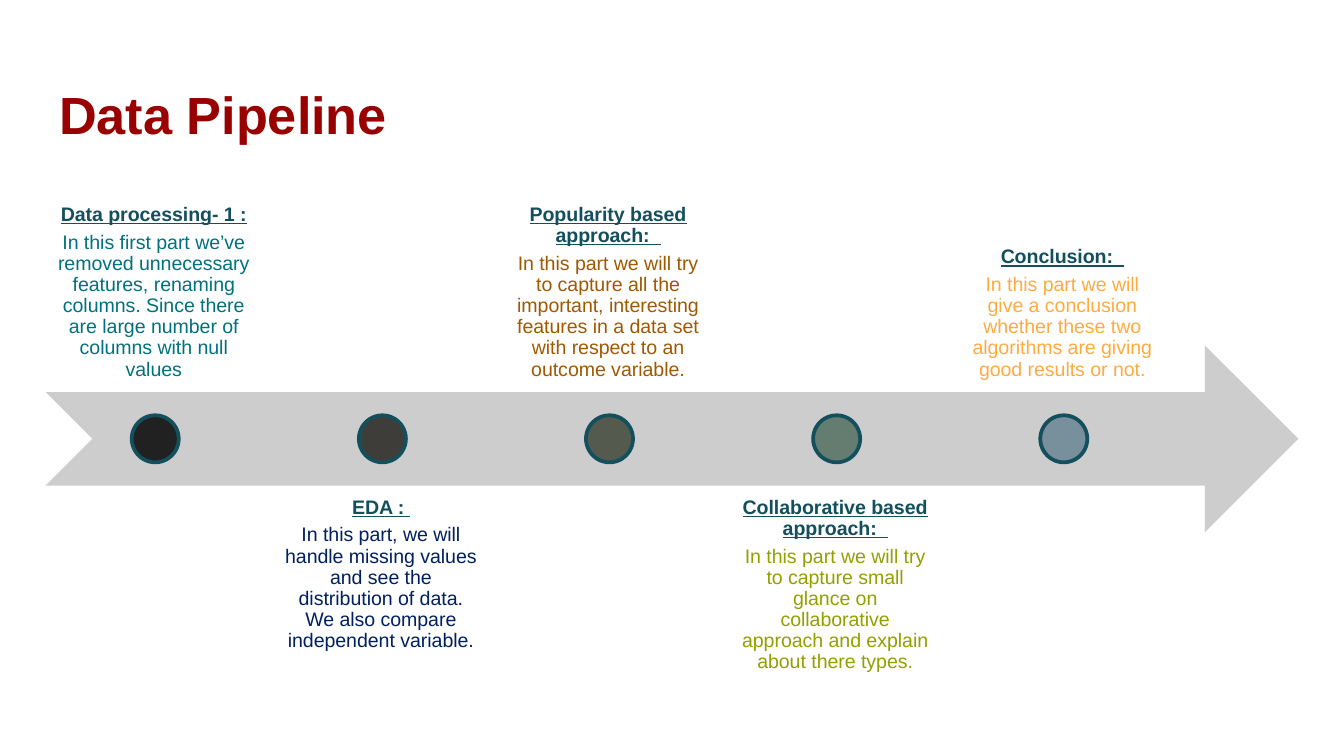
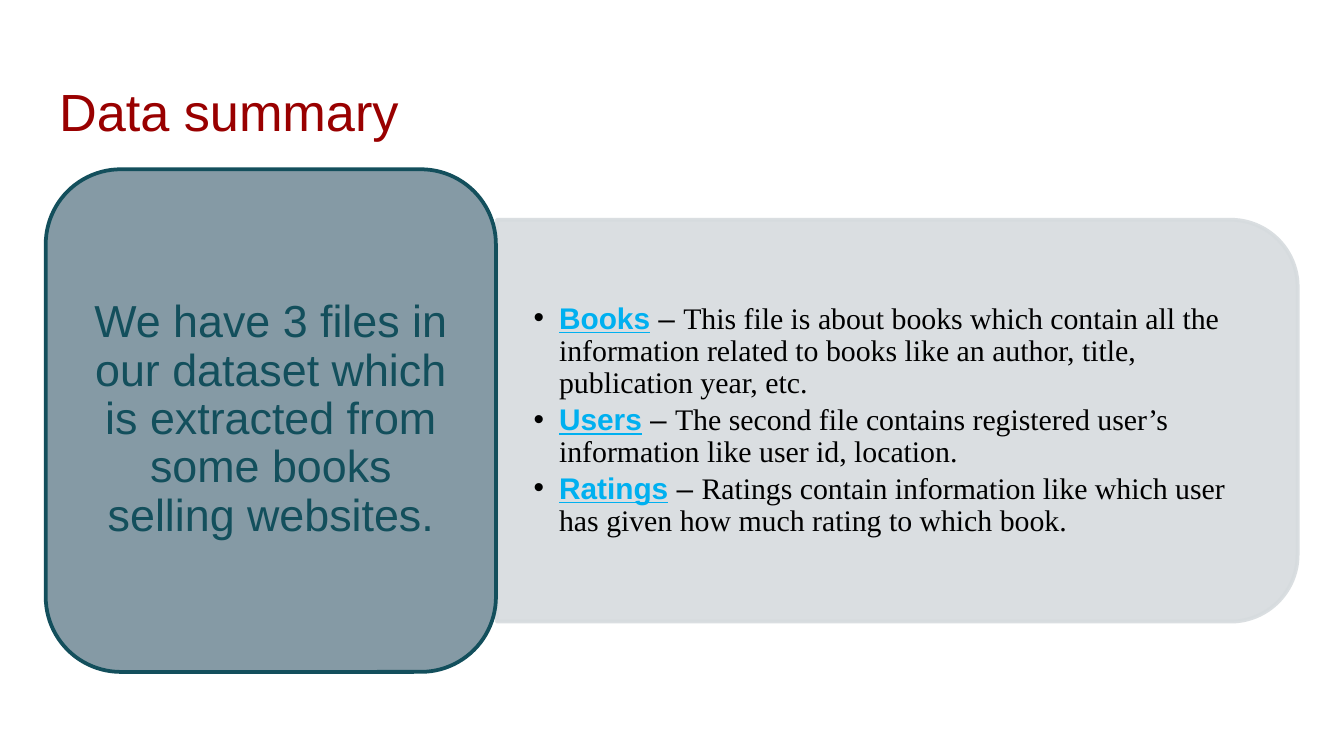
from pptx import Presentation
from pptx.dml.color import RGBColor
from pptx.enum.shapes import MSO_SHAPE as Shape
from pptx.enum.text import MSO_ANCHOR as Anchor, MSO_AUTO_SIZE as Fit, PP_ALIGN as Align
from pptx.oxml.ns import qn
from pptx.util import Inches, Pt
from lxml.etree import SubElement as Sub

# Shared style
COLORS = {
    "title": "990000", "teal": "134F5C", "arrow": "CDCDCD", "panel": "D6DBDE",
    "card": "78909C", "key": "00B0F0", "ink": "000000",
}
FONT, SERIF = "Arial", "Times New Roman"
LEFT, WIDE = 0.34, 9.32

# Steps: heading, text, text colour, dot colour
STEPS = [
    ("Data processing- 1 :",
     "In this first part we’ve removed unnecessary features, renaming columns. "
     "Since there are large number of columns with null values",
     "00717D", "212121"),
    ("EDA : ",
     "In this part, we will handle missing values and see the distribution of data. "
     "We also compare independent variable.",
     "002060", "3E3D39"),
    ("Popularity based approach:  ",
     "In this part we will try to capture all the important, interesting features "
     "in a data set with respect to an outcome variable.",
     "A05900", "545B4E"),
    ("Collaborative based approach:  ",
     "In this part we will try to capture small glance on collaborative approach "
     "and explain about there types.",
     "92A000", "647D70"),
    ("Conclusion:  ",
     "In this part we will give a conclusion whether these two algorithms are "
     "giving good results or not.",
     "FFAB40", "78909C"),
]
FILES = [
    ("Books", "This file is about books which contain all the information related to "
              "books like an author, title, publication year, etc."),
    ("Users", "The second file contains registered user’s information like user id, location."),
    ("Ratings", "Ratings contain information like which user has given how much rating "
                "to which book."),
]


def rgb(color):
    return RGBColor.from_string(COLORS.get(color, color))


def style(font, size, color, bold=False, line=False, name=FONT):
    font.name, font.size = name, Pt(size)
    font.bold, font.underline = bold, line
    font.color.rgb = rgb(color)


def place(shape, x, y, w, h):
    shape.left, shape.top = Inches(x), Inches(y)
    shape.width, shape.height = Inches(w), Inches(h)


def set_frame(frame, anchor, side, ends):
    frame.word_wrap, frame.auto_size = True, Fit.NONE
    frame.vertical_anchor = anchor
    frame.margin_left = frame.margin_right = Inches(side)
    frame.margin_top = frame.margin_bottom = Inches(ends)


def add_para(frame, first, align, after):
    para = frame.paragraphs[0] if first else frame.add_paragraph()
    para.alignment, para.line_spacing = align, 0.9
    para.space_before, para.space_after = Pt(0), Pt(after)
    return para


def add_title(slide, text, y, bold):
    title = slide.shapes.title
    place(title, LEFT, y, WIDE, 0.63)
    set_frame(title.text_frame, Anchor.TOP, 0.1, 0.1)
    title.text_frame.text = text
    para = title.text_frame.paragraphs[0]
    para.alignment = Align.LEFT
    style(para.font, 28, "title", bold)


def add_shape(slide, kind, x, y, w, h, fill, line=None):
    shape = slide.shapes.add_shape(kind, Inches(x), Inches(y), Inches(w), Inches(h))
    shape.shadow.inherit = False
    shape.fill.solid()
    shape.fill.fore_color.rgb = rgb(fill)
    if line:
        shape.line.color.rgb = rgb(line)
        shape.line.width = Pt(2)
    else:
        shape.line.fill.background()
    return shape


def fade(part, alpha):
    """Set the opacity, in percent, of the solid fill directly under an XML part."""
    color = part.find(qn("a:solidFill"))[0]
    Sub(color, qn("a:alpha"), val=str(alpha * 1000))


def add_box(slide, x, y, w, h, anchor, side, ends):
    box = slide.shapes.add_textbox(Inches(x), Inches(y), Inches(w), Inches(h))
    set_frame(box.text_frame, anchor, side, ends)
    return box.text_frame


def add_bullet(para, indent):
    props = para._p.get_or_add_pPr()
    props.set("marL", str(Inches(indent)))
    props.set("indent", str(-Inches(indent)))
    color = Sub(props, qn("a:buClr"))
    Sub(color, qn("a:srgbClr"), val=COLORS["ink"])
    Sub(props, qn("a:buFont"), typeface=FONT)
    Sub(props, qn("a:buChar"), char="•")


def add_step(slide, index, head, text, color, dot):
    x = LEFT + 1.69 * index
    above = index % 2 == 0
    y, anchor = (1.53, Anchor.BOTTOM) if above else (3.61, Anchor.TOP)
    frame = add_box(slide, x, y, 1.61, 1.39, anchor, 0.09, 0.09)
    for first, words, tone in ((True, head, "teal"), (False, text, color)):
        para = add_para(frame, first, Align.CENTER, 3.5)
        para.text = words
        style(para.font, 10.5, tone, first, first)
    add_shape(slide, Shape.OVAL, x + 0.64, 3.09, 0.35, 0.35, dot, "teal")


def add_list(slide, items):
    body = slide.placeholders[1]
    slide.shapes._spTree.append(body._element)  # bring in front of the panel
    place(body, 3.7, 1.78, 5.82, 2.7)
    frame = body.text_frame
    set_frame(frame, Anchor.MIDDLE, 0.27, 0.14)
    for index, (key, text) in enumerate(items):
        para = add_para(frame, index == 0, Align.LEFT, 2.4)
        para.level = 1
        add_bullet(para, 0.19)
        for words, color, mark, name in (
            (key, "key", True, FONT),
            (" – ", "ink", False, FONT),
            (text, "ink", False, SERIF),
        ):
            run = para.add_run()
            run.text = words
            style(run.font, 16, color, mark, mark, name)


def make_flow(deck):
    slide = deck.slides.add_slide(deck.slide_layouts[5])
    add_title(slide, "Data Pipeline", 0.51, True)
    add_shape(slide, Shape.NOTCHED_RIGHT_ARROW, LEFT, 2.57, WIDE, 1.39, "arrow")
    for index, step in enumerate(STEPS):
        add_step(slide, index, *step)


def make_files(deck):
    slide = deck.slides.add_slide(deck.slide_layouts[1])
    add_title(slide, "Data summary", 0.49, False)

    # Panel with the list of files
    panel = add_shape(slide, Shape.ROUND_2_SAME_RECTANGLE, 5.18, 0.15, 2.99, 5.96,
                      "panel", "panel")
    panel.rotation = 90
    fade(panel._element.spPr, 90)
    fade(panel.line._ln, 90)
    add_list(slide, FILES)

    # Card on the left
    card = add_shape(slide, Shape.ROUNDED_RECTANGLE, LEFT, 1.26, 3.35, 3.74, "card", "teal")
    fade(card._element.spPr, 90)
    frame = add_box(slide, 0.5, 1.42, 3.03, 3.41, Anchor.MIDDLE, 0.1, 0.05)
    para = add_para(frame, True, Align.CENTER, 8.4)
    para.text = ("We have 3 files in our dataset which is extracted from "
                 "some books selling websites.")
    style(para.font, 24, "teal")


def main():
    deck = Presentation()
    deck.slide_width = Inches(10)
    deck.slide_height = deck.slide_width * 9 // 16
    make_flow(deck)
    make_files(deck)
    deck.save("out.pptx")


if __name__ == "__main__":
    main()
